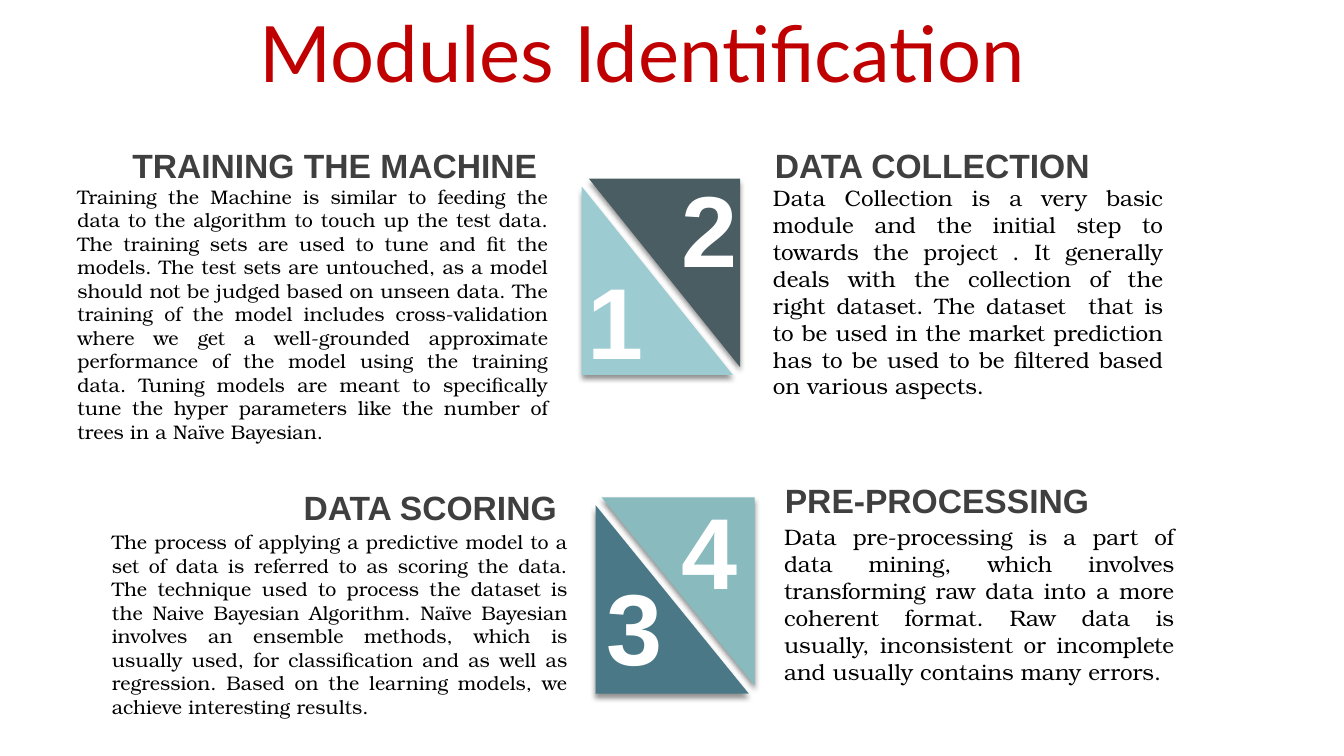
import dataclasses

import lxml.etree
import pptx
import pptx.dml.color
import pptx.enum.shapes
import pptx.enum.text
import pptx.oxml
import pptx.oxml.ns
import pptx.shapes.autoshape
import pptx.slide
import pptx.text.text
import pptx.util

Cm = pptx.util.Cm
Pt = pptx.util.Pt
Align = pptx.enum.text.PP_ALIGN
Anchor = pptx.enum.text.MSO_ANCHOR
AutoSize = pptx.enum.text.MSO_AUTO_SIZE

COLORS = {
    "title": "C00000",
    "title_end": "262626",
    "heading": "3F3F3F",
    "body": "000000",
    "number": "FFFFFF",
    "shadow": "000000",
    "training": "9CCCD2",
    "collection": "4A5D62",
    "scoring": "4A7886",
    "preprocessing": "88BABE",
}
FORMATS = {
    "title": {"name": "Lato", "size": Pt(55.5)},
    "title_end": {"name": "Arial", "size": Pt(50)},
    "heading": {"name": "Arial", "size": Pt(24), "bold": True},
    "number": {"name": "Arial", "size": Pt(72), "bold": True},
    "body": {"name": "TeX Gyre Bonum"},
}
HEADING_HEIGHT = 1.27
TRIANGLE_HEIGHT = 4.75


@dataclasses.dataclass(frozen=True)
class Box:
    left: float
    top: float
    width: float
    height: float

    def lengths(self) -> list[pptx.util.Length]:
        return [Cm(value) for value in dataclasses.astuple(self)]


@dataclasses.dataclass(frozen=True)
class Module:
    number: str
    color: str
    triangle: Box
    rotation: int
    number_box: Box
    heading: str
    heading_box: Box
    heading_align: Align
    body: str
    body_box: Box
    body_size: int


MODULES = [
    Module(
        "1", "training", Box(14.66, 4.7, 3.81, TRIANGLE_HEIGHT), 0,
        Box(14.5, 6.38, 1.98, 3.43),
        "TRAINING THE MACHINE", Box(1.52, 3.53, 12.27, HEADING_HEIGHT), Align.RIGHT,
        "Training the Machine is similar to feeding the data to the algorithm to "
        "touch up the test data. The training sets are used to tune and fit the "
        "models. The test sets are untouched, as a model should not be judged based "
        "on unseen data. The training of the model includes cross-validation where "
        "we get a well-grounded approximate performance of the model using the "
        "training data. Tuning models are meant to specifically tune the hyper "
        "parameters like the number of trees in a Naïve Bayesian.",
        Box(1.7, 4.52, 12.37, 6.83), 14,
    ),
    Module(
        "2", "collection", Box(14.84, 4.5, 3.81, TRIANGLE_HEIGHT), 180,
        Box(16.87, 4.06, 1.7, 3.33),
        "DATA COLLECTION", Box(19.28, 3.51, 10.26, HEADING_HEIGHT), Align.LEFT,
        "Data Collection is a very basic module and the initial step to towards the "
        "project . It generally deals with the collection of the right dataset. The "
        "dataset  that is to be used in the market prediction has to be used to be "
        "filtered based on various aspects.",
        Box(19.23, 4.52, 10.34, 5.74), 16,
    ),
    Module(
        "3", "scoring", Box(15.01, 12.73, 3.86, TRIANGLE_HEIGHT), 0,
        Box(14.99, 14.1, 1.7, 3.33),
        "DATA SCORING", Box(2.39, 12.14, 11.89, HEADING_HEIGHT), Align.RIGHT,
        "The process of applying a predictive model to a set of data is referred to "
        "as scoring the data. The technique used to process the dataset is the Naive "
        "Bayesian Algorithm. Naïve Bayesian involves an ensemble methods, which is "
        "usually used, for classification and as well as regression. Based on the "
        "learning models, we achieve interesting results.",
        Box(2.57, 13.23, 11.99, 5.05), 14,
    ),
    Module(
        "4", "preprocessing", Box(15.16, 12.53, 3.86, TRIANGLE_HEIGHT), 180,
        Box(16.87, 12.19, 2.03, 3.33),
        "PRE-PROCESSING", Box(19.53, 11.96, 10.26, HEADING_HEIGHT), Align.LEFT,
        "Data pre-processing is a part of data mining, which involves transforming "
        "raw data into a more coherent format. Raw data is usually, inconsistent or "
        "incomplete and usually contains many errors.",
        Box(19.51, 13.06, 10.34, 5.05), 16,
    ),
]


def rgb(color: str) -> pptx.dml.color.RGBColor:
    return pptx.dml.color.RGBColor.from_string(COLORS[color])


def add_run(paragraph: pptx.text.text._Paragraph, text: str, role: str, **extra: object) -> None:
    run = paragraph.add_run()
    run.text = text
    for attribute, value in {**FORMATS[role], **extra}.items():
        setattr(run.font, attribute, value)
    run.font.color.rgb = rgb(role)


def add_text_box(
    slide: pptx.slide.Slide, box: Box, align: Align, margin: float = 0.25, **frame_format: object
) -> pptx.text.text._Paragraph:
    frame = slide.shapes.add_textbox(*box.lengths()).text_frame
    settings = {
        "word_wrap": True,
        "auto_size": AutoSize.SHAPE_TO_FIT_TEXT,
        "margin_left": Cm(margin),
        "margin_right": Cm(margin),
        "margin_top": Cm(0.13),
        "margin_bottom": Cm(0.13),
        **frame_format,
    }
    for attribute, value in settings.items():
        setattr(frame, attribute, value)
    paragraph = frame.paragraphs[0]
    paragraph.alignment = align
    return paragraph


def add_shadow(triangle: pptx.shapes.autoshape.Shape) -> None:
    triangle.shadow.inherit = False
    qn = pptx.oxml.ns.qn
    effects = triangle._element.spPr.find(qn("a:effectLst"))
    shadow = lxml.etree.SubElement(
        effects, qn("a:outerShdw"),
        blurRad=str(Pt(4)), dist=str(Pt(3)), dir="5400000", algn="t", rotWithShape="0",
    )
    color = lxml.etree.SubElement(shadow, qn("a:srgbClr"), val=COLORS["shadow"])
    lxml.etree.SubElement(color, qn("a:alpha"), val="43000")


def add_triangle(slide: pptx.slide.Slide, module: Module) -> None:
    triangle = slide.shapes.add_shape(
        pptx.enum.shapes.MSO_SHAPE.RIGHT_TRIANGLE, *module.triangle.lengths()
    )
    triangle.rotation = module.rotation
    triangle.fill.solid()
    triangle.fill.fore_color.rgb = rgb(module.color)
    triangle.line.fill.background()
    add_shadow(triangle)


def add_module_text(slide: pptx.slide.Slide, module: Module) -> None:
    number = add_text_box(slide, module.number_box, Align.CENTER, margin=0.3)
    add_run(number, module.number, "number")
    body = add_text_box(slide, module.body_box, Align.JUSTIFY)
    add_run(body, module.body, "body", size=Pt(module.body_size))
    heading = add_text_box(slide, module.heading_box, module.heading_align)
    add_run(heading, module.heading, "heading")


def main() -> None:
    presentation = pptx.Presentation()
    presentation.slide_width = Cm(33.87)
    presentation.slide_height = Cm(19.05)
    slide = presentation.slides.add_slide(presentation.slide_layouts[6])

    title = add_text_box(
        slide, Box(0.36, 0.58, 32.16, 2.01), Align.CENTER,
        auto_size=AutoSize.NONE, vertical_anchor=Anchor.MIDDLE,
    )
    title.line_spacing = 0.7
    add_run(title, "Modules Identification", "title")
    add_run(title, " ", "title_end")

    for module in MODULES:
        add_triangle(slide, module)
    for module in MODULES:
        add_module_text(slide, module)

    presentation.save("out.pptx")


if __name__ == "__main__":
    main()
